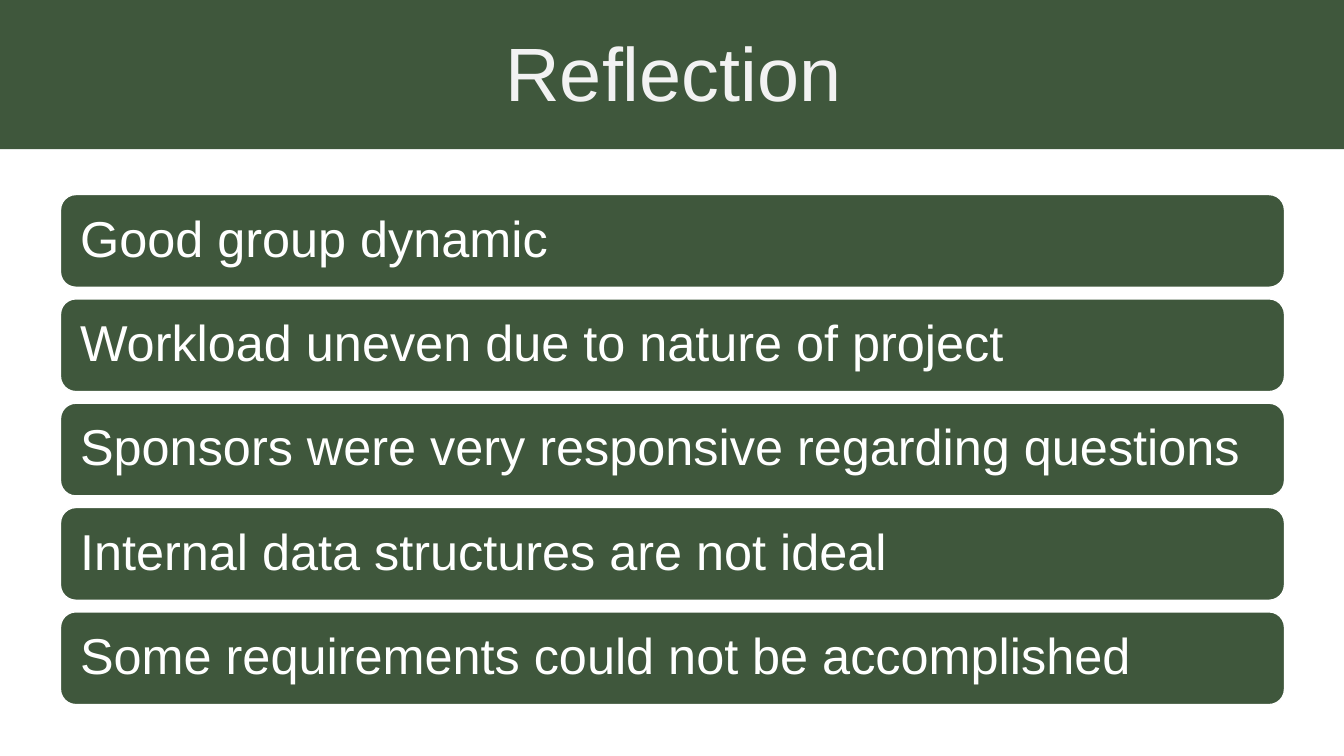
from pptx import Presentation
from pptx.dml.color import RGBColor
from pptx.enum.shapes import MSO_SHAPE
from pptx.enum.text import MSO_ANCHOR, PP_ALIGN
from pptx.util import Inches, Pt

RECT, ROUNDED = MSO_SHAPE.RECTANGLE, MSO_SHAPE.ROUNDED_RECTANGLE
MIDDLE = MSO_ANCHOR.MIDDLE
LEFT, CENTER = PP_ALIGN.LEFT, PP_ALIGN.CENTER

COLORS = {"green": "3F573C", "white": "FFFFFF", "title": "F2F2F2"}
WIDTH, HEIGHT = 13.33, 7.5
BANNER = (0, 0, WIDTH, 1.48)
LIST_BOX = (0.6, 1.93, 12.14, 5.06)
BAR_HEIGHT = 0.92
BAR_INSET = 0.15

POINTS = [
    "Good group dynamic",
    "Workload uneven due to nature of project",
    "Sponsors were very responsive regarding questions",
    "Internal data structures are not ideal",
    "Some requirements could not be accomplished",
]


def color(name):
    return RGBColor.from_string(COLORS[name])


def add_panel(slide, kind, box):
    s = slide.shapes.add_shape(kind, *map(Inches, box))
    s.shadow.inherit = False
    s.fill.solid()
    s.fill.fore_color.rgb = color("green")
    return s


def write_line(tf, text, size, font_color, align):
    tf.word_wrap = True
    tf.vertical_anchor = MIDDLE
    p = tf.paragraphs[0]
    p.text = text
    p.alignment = align
    p.line_spacing = 0.9
    p.font.name = "Arial"
    p.font.size = Pt(size)
    p.font.color.rgb = color(font_color)


def add_banner(slide, box, title):
    left, top, width, height = box
    add_panel(slide, RECT, box).line.fill.background()
    title_box = (left + 0.35, top + height / 4, width - 0.67, 0.79)
    tb = slide.shapes.add_textbox(*map(Inches, title_box))
    write_line(tb.text_frame, title, 54, "title", CENTER)


def add_bars(slide, box, points):
    """Spread one bar per point evenly from the top to the bottom of the box."""
    left, top, width, height = box
    step = (height - BAR_HEIGHT) / (len(points) - 1)
    for i, point in enumerate(points):
        s = add_panel(slide, ROUNDED, (left, top + i * step, width, BAR_HEIGHT))
        s.line.color.rgb = color("white")
        s.line.width = Pt(1)
        tf = s.text_frame
        tf.margin_left = tf.margin_right = Inches(BAR_INSET)
        tf.margin_top = tf.margin_bottom = Inches(BAR_INSET)
        write_line(tf, point, 36, "white", LEFT)


def main():
    prs = Presentation()
    prs.slide_width, prs.slide_height = Inches(WIDTH), Inches(HEIGHT)
    slide = prs.slides.add_slide(prs.slide_layouts[6])
    add_banner(slide, BANNER, "Reflection")
    add_bars(slide, LIST_BOX, POINTS)
    prs.save("out.pptx")


if __name__ == "__main__":
    main()
